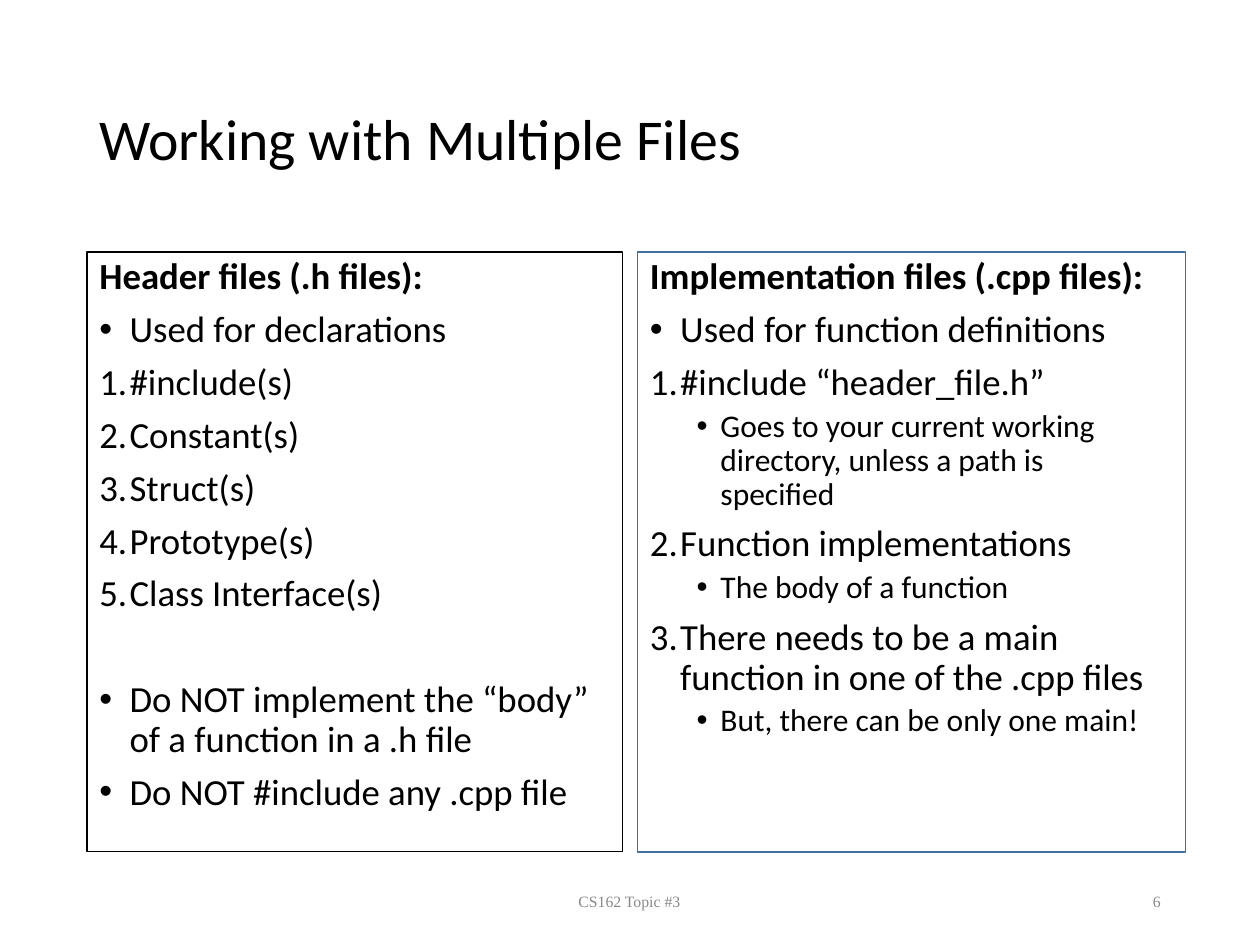
from lxml import etree
from pptx import Presentation
from pptx.dml.color import RGBColor
from pptx.enum.shapes import MSO_SHAPE
from pptx.enum.text import MSO_ANCHOR, MSO_AUTO_SIZE, PP_ALIGN
from pptx.oxml.ns import qn
from pptx.util import Inches, Pt

RECTANGLE = MSO_SHAPE.RECTANGLE
TOP, MIDDLE = MSO_ANCHOR.TOP, MSO_ANCHOR.MIDDLE
LEFT, CENTER, RIGHT = PP_ALIGN.LEFT, PP_ALIGN.CENTER, PP_ALIGN.RIGHT
NO_AUTOFIT = MSO_AUTO_SIZE.NONE

BLACK = RGBColor(0x00, 0x00, 0x00)
BLUE = RGBColor(0x41, 0x71, 0x9C)
GRAY = RGBColor(0x89, 0x89, 0x89)

# Paragraph kinds: size, space before, left margin, hanging indent, marker
STYLES = {
    "head": (21, 7.5, 0, 0, None),
    "bullet": (21, 7.5, 0.24, 0.24, "buChar"),
    "number": (21, 7.5, 0.24, 0.24, "buAutoNum"),
    "sub": (18, 3.7, 0.56, 0.19, "buChar"),
}
MARKERS = {
    "buChar": {"char": "•"},
    "buAutoNum": {"type": "arabicPeriod"},
}
SECTION_GAP = 37.8

HEADER_FILES = [
    ("head", "Header files (.h files):"),
    ("bullet", "Used for declarations"),
    ("number", "#include(s)"),
    ("number", "Constant(s)"),
    ("number", "Struct(s)"),
    ("number", "Prototype(s)"),
    ("number", "Class Interface(s)"),
    ("bullet", "Do NOT implement the “body” of a function in a .h file"),
    ("bullet", "Do NOT #include any .cpp file"),
]
IMPLEMENTATION_FILES = [
    ("head", "Implementation files (.cpp files):"),
    ("bullet", "Used for function definitions"),
    ("number", "#include “header_file.h”"),
    ("sub", "Goes to your current working directory, unless a path is specified"),
    ("number", "Function implementations"),
    ("sub", "The body of a function"),
    ("number", "There needs to be a main function in one of the .cpp files"),
    ("sub", "But, there can be only one main!"),
]


class Deck:
    body_font = "Calibri"
    footer_font = "Times New Roman"

    def __init__(self):
        self.prs = Presentation()
        self.prs.slide_width = Inches(10)
        self.prs.slide_height = Inches(7.5)
        self.s = self.prs.slides.add_slide(self.prs.slide_layouts[5])

    def frame(self, sp, anchor):
        tf = sp.text_frame
        tf.word_wrap = True
        tf.auto_size = NO_AUTOFIT
        tf.vertical_anchor = anchor
        return tf

    def paragraph(self, p, text, size, color, font, align=LEFT, bold=False):
        p.text = text
        p.alignment = align
        for r in p.runs:
            r.font.name = font
            r.font.size = Pt(size)
            r.font.bold = bold
            r.font.color.rgb = color

    def title(self, text, x, y, w, h):
        sp = self.s.shapes.title
        sp.left, sp.top, sp.width, sp.height = map(Inches, (x, y, w, h))
        p = self.frame(sp, MIDDLE).paragraphs[0]
        self.paragraph(p, text, 33, BLACK, self.body_font)
        p.line_spacing = 0.9

    def box(self, x, y, w, h, color, weight):
        sp = self.s.shapes.add_shape(RECTANGLE, *map(Inches, (x, y, w, h)))
        sp.shadow.inherit = False
        sp.fill.background()
        sp.line.color.rgb = color
        sp.line.width = Pt(weight)
        return sp

    def textbox(self, x, y, w, h):
        return self.s.shapes.add_textbox(*map(Inches, (x, y, w, h)))

    def outline(self, sp, items):
        tf = self.frame(sp, TOP)
        previous = None
        for i, (kind, text) in enumerate(items):
            p = tf.paragraphs[0] if i == 0 else tf.add_paragraph()
            size, before, margin, hang, marker = STYLES[kind]
            self.paragraph(p, text, size, BLACK, self.body_font, bold=kind == "head")
            p.level = 1 if kind == "sub" else 0
            p.line_spacing = 0.9
            # A bullet after a numbered list opens a new section
            new_section = (previous, kind) == ("number", "bullet")
            p.space_before = Pt(SECTION_GAP if new_section else before)
            if marker:
                pPr = p._p.get_or_add_pPr()
                pPr.set("marL", str(Inches(margin)))
                pPr.set("indent", str(-Inches(hang)))
                etree.SubElement(pPr, qn("a:buFont"), typeface="Arial")
                etree.SubElement(pPr, qn("a:" + marker), MARKERS[marker])
            previous = kind

    def footer(self, text, x, w, align):
        p = self.frame(self.textbox(x, 6.95, w, 0.4), MIDDLE).paragraphs[0]
        self.paragraph(p, text, 9, GRAY, self.footer_font, align)


def main():
    deck = Deck()
    deck.title("Working with Multiple Files", 0.69, 0.4, 8.63, 1.45)

    # Two columns
    top, width, height = 2, 4.25, 4.76
    deck.outline(deck.box(0.69, top, width, height, BLACK, 0.75), HEADER_FILES)
    deck.outline(deck.textbox(5.06, top, width, height), IMPLEMENTATION_FILES)

    # Footer and slide number
    deck.footer("CS162 Topic #3", 3.31, 3.37, CENTER)
    deck.footer("6", 7.06, 2.25, RIGHT)

    # Border around the right column
    deck.box(5.06, top, width + 0.1, height, BLUE, 1)

    deck.prs.save("out.pptx")


if __name__ == "__main__":
    main()
